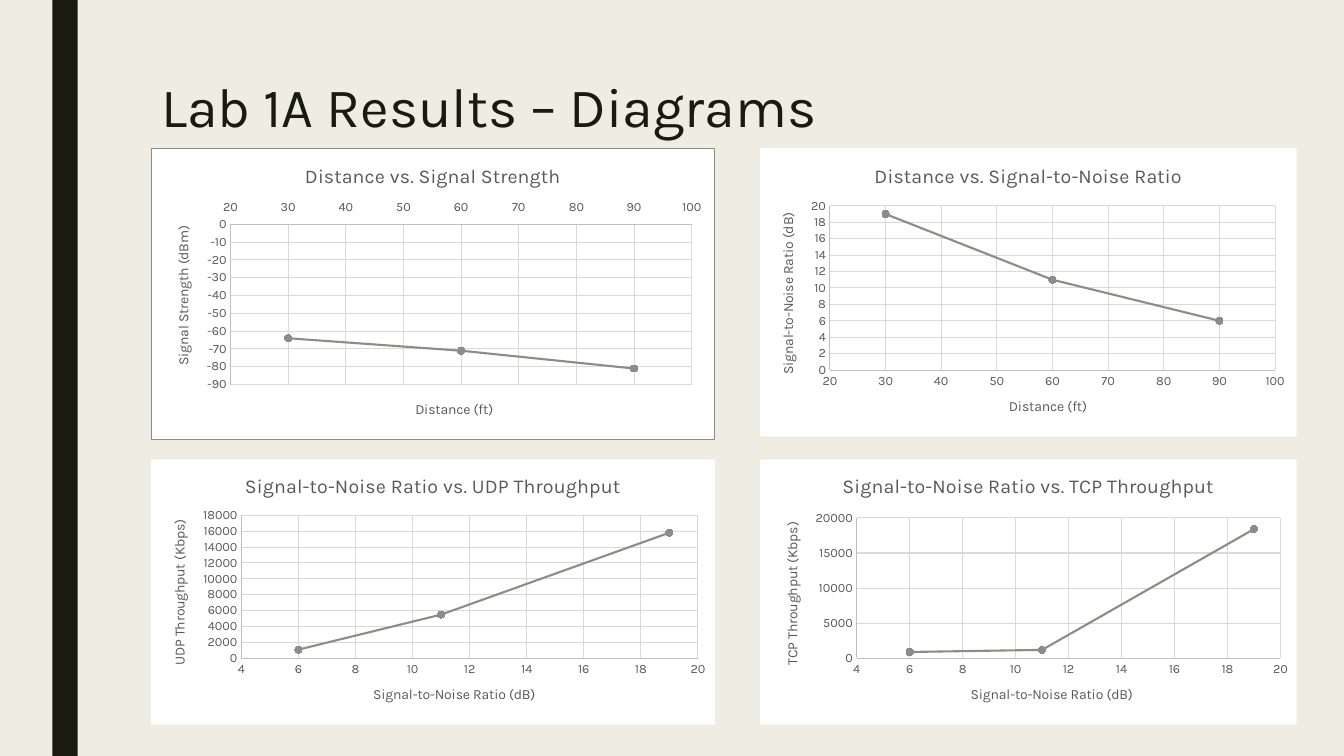
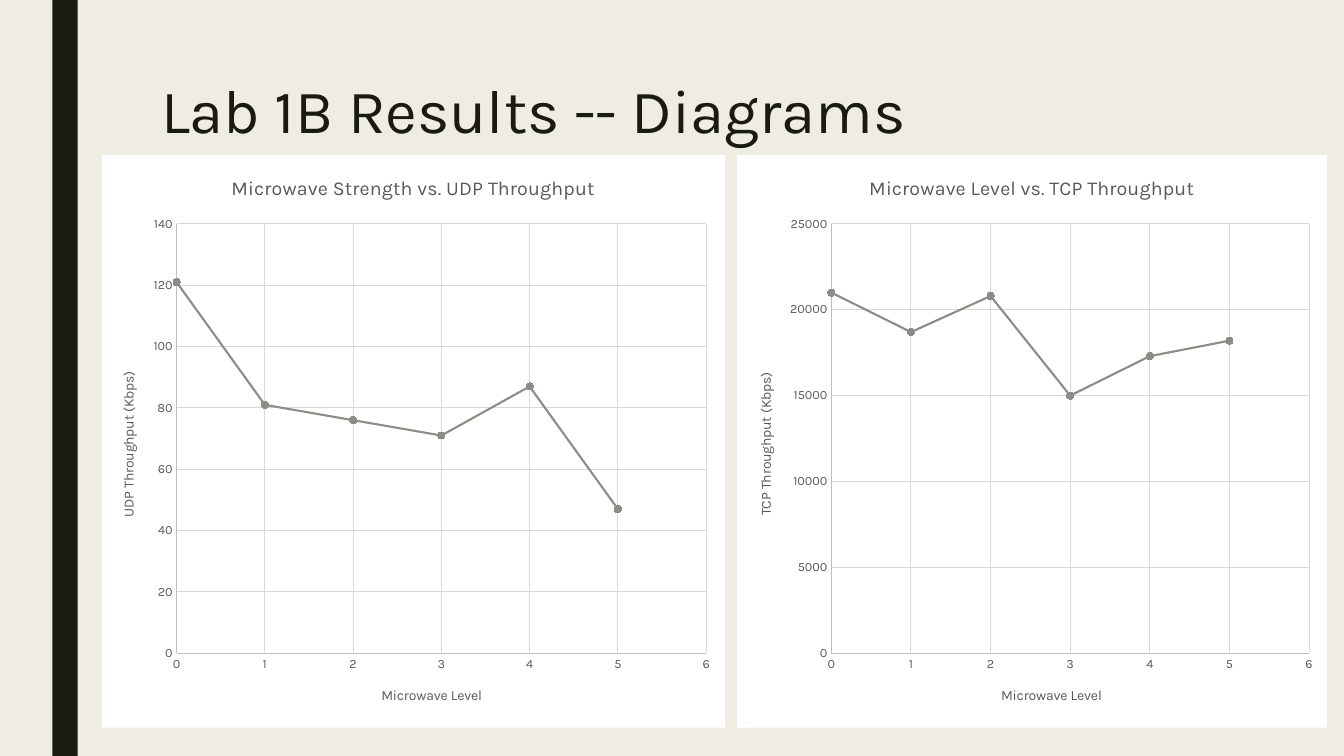
"""Build the two lab result slides with their scatter charts."""
import itertools

import lxml.etree
import pptx
import pptx.chart.data
import pptx.dml.color
import pptx.enum.chart
import pptx.enum.shapes
import pptx.enum.text
import pptx.util

RGBColor = pptx.dml.color.RGBColor
Inches = pptx.util.Inches
Pt = pptx.util.Pt

CREAM = RGBColor(0xEF, 0xED, 0xE3)
INK = RGBColor(0x19, 0x1B, 0x0E)
WHITE = RGBColor(0xFF, 0xFF, 0xFF)
BLACK = RGBColor(0x00, 0x00, 0x00)
SERIES_GRAY = RGBColor(0x8C, 0x8D, 0x86)
TEXT_GRAY = RGBColor(0x59, 0x59, 0x59)
AXIS_GRAY = RGBColor(0xBF, 0xBF, 0xBF)
GRID_GRAY = RGBColor(0xD9, 0xD9, 0xD9)
FONT = "Karla"
SLIDE_WIDTH, SLIDE_HEIGHT = 13.33, 7.5
BAND_LEFT, BAND_WIDTH = 0.52, 0.25
TITLE_LEFT, TITLE_TOP, TITLE_WIDTH = 1.5, 0.75, 10.5

DISTANCE = "Distance (ft)"
NOISE_RATIO = "Signal-to-Noise Ratio (dB)"
LEVEL = "Microwave Level"
UDP = "UDP Throughput (Kbps)"
TCP = "TCP Throughput (Kbps)"
FEET = (30, 60, 90)
DECIBELS = (19, 11, 6)
LEVELS = (0, 1, 2, 3, 4, 5)
FEET_SCALE = (20, 100, 10)
DECIBEL_SCALE = (4, 20, 2)
LEVEL_SCALE = (0, 6, 1)

SLIDES = [
    {
        "title": "Lab 1A Results – Diagrams", "size": 39.6,
        "columns": [(1.5, 5.59), (7.54, 5.32)], "rows": [1.47, 4.56],
        "charts": [
            {"title": "Distance vs. Signal Strength", "height": 2.9,
             "border": True, "labels_on_top": True,
             "x": (DISTANCE, FEET, FEET_SCALE),
             "y": ("Signal Strength (dBm)", (-64, -71, -81), (-90, 0, 10)),
             "plot": (0.14, 0.26, 0.82, 0.55)},
            {"title": "Distance vs. Signal-to-Noise Ratio", "height": 2.86,
             "x": (DISTANCE, FEET, FEET_SCALE),
             "y": (NOISE_RATIO, (19, 11, 6), (0, 20, 2)),
             "plot": (0.13, 0.2, 0.83, 0.57)},
            {"title": "Signal-to-Noise Ratio vs. UDP Throughput", "height": 2.63,
             "x": (NOISE_RATIO, DECIBELS, DECIBEL_SCALE),
             "y": (UDP, (15800, 5500, 1100), (0, 18000, 2000)),
             "plot": (0.16, 0.21, 0.81, 0.54)},
            {"title": "Signal-to-Noise Ratio vs. TCP Throughput", "height": 2.63,
             "x": (NOISE_RATIO, DECIBELS, DECIBEL_SCALE),
             "y": (TCP, (18400, 1200, 900), (0, 20000, 5000)),
             "plot": (0.18, 0.22, 0.79, 0.53)},
        ],
    },
    {
        "title": "Lab 1B Results -- Diagrams", "size": 44,
        "columns": [(1.01, 6.18), (7.31, 5.85)], "rows": [1.54],
        "charts": [
            {"title": "Microwave Strength vs. UDP Throughput", "height": 5.68,
             "x": (LEVEL, LEVELS, LEVEL_SCALE),
             "y": (UDP, (121, 81, 76, 71, 87, 47), (0, 140, 20)),
             "plot": (0.12, 0.12, 0.85, 0.75)},
            {"title": "Microwave Level vs. TCP Throughput", "height": 5.68,
             "x": (LEVEL, LEVELS, LEVEL_SCALE),
             "y": (TCP, (21000, 18700, 20800, 15000, 17300, 18200), (0, 25000, 5000)),
             "plot": (0.16, 0.12, 0.81, 0.75)},
        ],
    },
]

CHART_NAMESPACE = "http://schemas.openxmlformats.org/drawingml/2006/chart"
DRAWING_NAMESPACE = "http://schemas.openxmlformats.org/drawingml/2006/main"
C = "{%s}" % CHART_NAMESPACE
A = "{%s}" % DRAWING_NAMESPACE


def add_run(paragraph, text, size, color):
    run = paragraph.add_run()
    run.text = text
    run.font.size = Pt(size)
    run.font.name = FONT
    run.font.bold = False
    run.font.color.rgb = color


def set_line(line, color, width):
    line.color.rgb = color
    line.width = Pt(width)


def add_solid_fill(parent, color):
    fill = lxml.etree.SubElement(parent, A + "solidFill")
    lxml.etree.SubElement(fill, A + "srgbClr", val=str(color))


def paint_chart_area(chart, border):
    properties = lxml.etree.Element(C + "spPr")
    add_solid_fill(properties, WHITE)
    line = lxml.etree.SubElement(properties, A + "ln", w=str(Pt(0.75)))
    if border:
        add_solid_fill(line, SERIES_GRAY)
    else:
        lxml.etree.SubElement(line, A + "noFill")
    chart.element.find(C + "chart").addnext(properties)


def place_plot(chart, shares):
    plot_area = chart.element.find(C + "chart").find(C + "plotArea")
    for old_layout in plot_area.findall(C + "layout"):
        plot_area.remove(old_layout)
    layout = lxml.etree.Element(C + "layout")
    manual = lxml.etree.SubElement(layout, C + "manualLayout")
    settings = [("layoutTarget", "inner"), ("xMode", "edge"), ("yMode", "edge")]
    for name, value in settings + list(zip("xywh", shares)):
        lxml.etree.SubElement(manual, C + name, val=str(value))
    plot_area.insert(0, layout)


def style_axis(axis, title, scale):
    axis.minimum_scale, axis.maximum_scale, axis.major_unit = scale
    axis.major_tick_mark = axis.minor_tick_mark = pptx.enum.chart.XL_TICK_MARK.NONE
    axis.has_major_gridlines = True
    set_line(axis.major_gridlines.format.line, GRID_GRAY, 0.75)
    set_line(axis.format.line, AXIS_GRAY, 0.75)
    font = axis.tick_labels.font
    font.size, font.name = Pt(9), FONT
    font.color.rgb = TEXT_GRAY
    axis.tick_labels.number_format = "General"
    axis.tick_labels.number_format_is_linked = False
    add_run(axis.axis_title.text_frame.paragraphs[0], title, 10, TEXT_GRAY)


def add_scatter(slide, content, left, top, width):
    x_title, x_values, x_scale = content["x"]
    y_title, y_values, y_scale = content["y"]
    data = pptx.chart.data.XyChartData()
    points = data.add_series("Series 1")
    for x_value, y_value in zip(x_values, y_values):
        points.add_data_point(x_value, y_value)
    chart = slide.shapes.add_chart(
        pptx.enum.chart.XL_CHART_TYPE.XY_SCATTER_LINES, Inches(left), Inches(top),
        Inches(width), Inches(content["height"]), data).chart
    chart.font.size, chart.font.name = Pt(10), FONT
    chart.font.color.rgb = BLACK
    chart.has_legend = False
    chart.plots[0].vary_by_categories = False
    add_run(chart.chart_title.text_frame.paragraphs[0], content["title"], 14, TEXT_GRAY)
    style_axis(chart.category_axis, x_title, x_scale)
    style_axis(chart.value_axis, y_title, y_scale)
    if content.get("labels_on_top"):
        chart.category_axis.tick_label_position = pptx.enum.chart.XL_TICK_LABEL_POSITION.HIGH
    series = chart.plots[0].series[0]
    series.smooth = False
    set_line(series.format.line, SERIES_GRAY, 1.5)
    marker = series.marker
    marker.style, marker.size = pptx.enum.chart.XL_MARKER_STYLE.CIRCLE, 5
    marker.format.fill.solid()
    marker.format.fill.fore_color.rgb = SERIES_GRAY
    set_line(marker.format.line, SERIES_GRAY, 0.75)
    paint_chart_area(chart, content.get("border", False))
    place_plot(chart, content["plot"])


def add_base_slide(presentation, title, size, title_bottom):
    slide = presentation.slides.add_slide(presentation.slide_layouts[6])
    slide.background.fill.solid()
    slide.background.fill.fore_color.rgb = CREAM
    band = slide.shapes.add_shape(
        pptx.enum.shapes.MSO_SHAPE.RECTANGLE, Inches(BAND_LEFT), 0,
        Inches(BAND_WIDTH), Inches(SLIDE_HEIGHT))
    band.shadow.inherit = False
    band.fill.solid()
    band.fill.fore_color.rgb = INK
    band.line.fill.background()
    frame = slide.shapes.add_textbox(
        Inches(TITLE_LEFT), Inches(TITLE_TOP), Inches(TITLE_WIDTH),
        Inches(title_bottom - TITLE_TOP)).text_frame
    frame.word_wrap = True
    frame.vertical_anchor = pptx.enum.text.MSO_ANCHOR.TOP
    paragraph = frame.paragraphs[0]
    paragraph.line_spacing = 0.89
    add_run(paragraph, title, size, INK)
    return slide


presentation = pptx.Presentation()
presentation.slide_width = Inches(SLIDE_WIDTH)
presentation.slide_height = Inches(SLIDE_HEIGHT)
for page in SLIDES:
    slide = add_base_slide(presentation, page["title"], page["size"], page["rows"][0])
    cells = itertools.product(page["rows"], page["columns"])
    for content, (top, (left, width)) in zip(page["charts"], cells):
        add_scatter(slide, content, left, top, width)
presentation.save("out.pptx")
